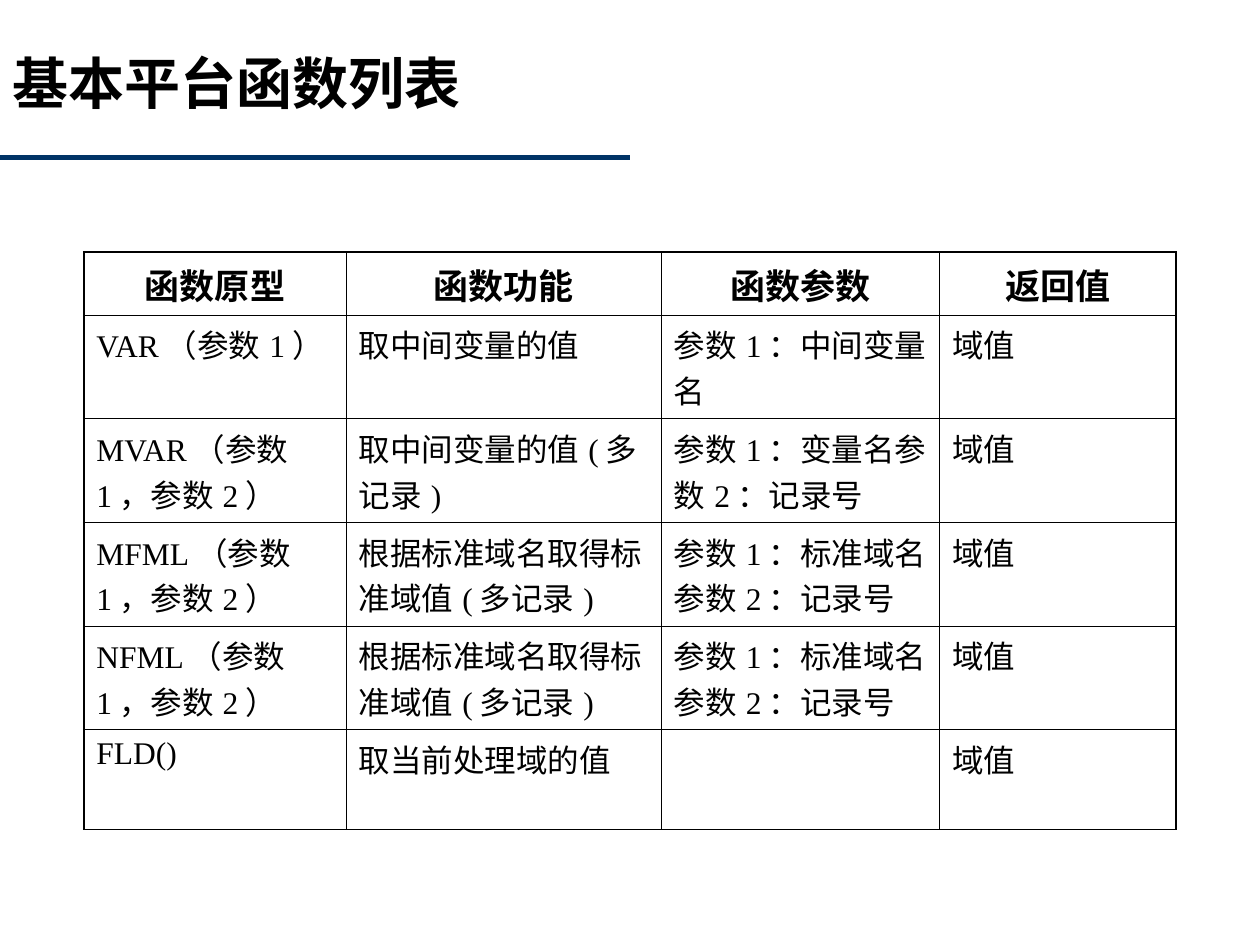
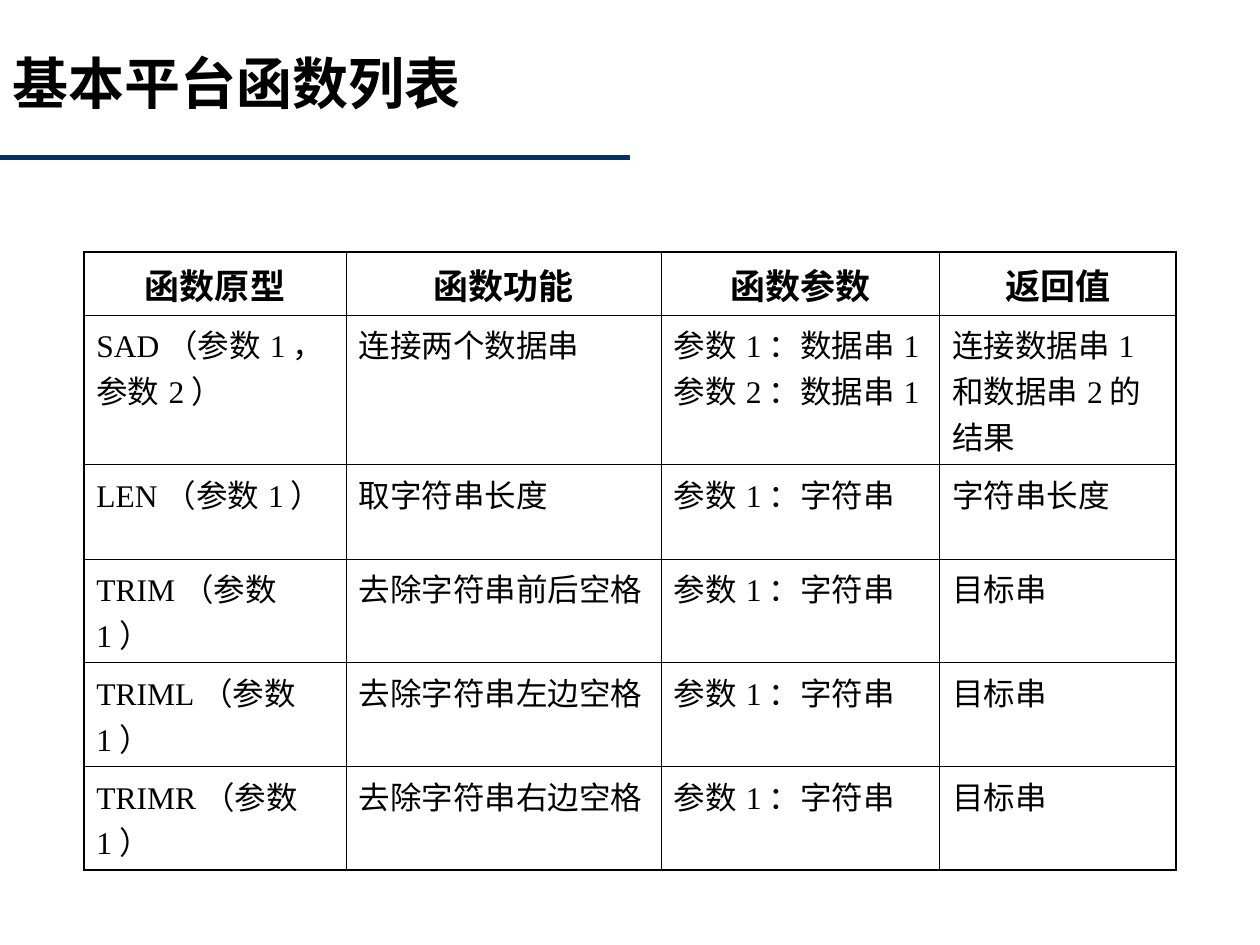
import lxml.etree
import pptx
import pptx.dml.color
import pptx.enum.shapes
import pptx.enum.text
import pptx.oxml.ns
import pptx.util
from pptx.util import Cm, Pt

BLACK = pptx.dml.color.RGBColor(0x00, 0x00, 0x00)
NAVY = pptx.dml.color.RGBColor(0x00, 0x33, 0x66)

CJK_FONT = "Noto Sans CJK SC"
TABLE_FONT = "Times New Roman"

TITLE = "基本平台函数列表"
HEADERS = ("函数原型", "函数功能", "函数参数", "返回值")
COLUMN_WIDTHS = (5.29, 6.35, 5.61, 4.77)
HEADER_HEIGHT = 1.27
TWO_LINE_HEIGHT = 2.09
OUTER_BORDER = Pt(1.08)
INNER_BORDER = Pt(0.45)

VARIABLE_FUNCTIONS = (
    ("VAR（参数1）", "取中间变量的值", "参数1：中间变量名", "域值"),
    ("MVAR（参数1，参数2）", "取中间变量的值(多记录)", "参数1：变量名参数2：记录号", "域值"),
    ("MFML（参数1，参数2）", "根据标准域名取得标准域值(多记录)", "参数1：标准域名参数2：记录号", "域值"),
    ("NFML（参数1，参数2）", "根据标准域名取得标准域值(多记录)", "参数1：标准域名参数2：记录号", "域值"),
    ("FLD()", "取当前处理域的值", "", "域值"),
)
STRING_FUNCTIONS = (
    ("SAD（参数1，参数2）", "连接两个数据串", "参数1：数据串1参数2：数据串1", "连接数据串1和数据串2的结果"),
    ("LEN（参数1）", "取字符串长度", "参数1：字符串", "字符串长度"),
    ("TRIM（参数1）", "去除字符串前后空格", "参数1：字符串", "目标串"),
    ("TRIML（参数1）", "去除字符串左边空格", "参数1：字符串", "目标串"),
    ("TRIMR（参数1）", "去除字符串右边空格", "参数1：字符串", "目标串"),
)


def add_element(parent, tag, **attributes):
    return lxml.etree.SubElement(parent, pptx.oxml.ns.qn(tag), **attributes)


def write_text(text_frame, text, *, font=TABLE_FONT, size=18, bold=False, centered=False):
    text_frame.word_wrap = True
    paragraph = text_frame.paragraphs[0]
    alignment = pptx.enum.text.PP_ALIGN
    paragraph.alignment = alignment.CENTER if centered else alignment.LEFT
    run = paragraph.add_run()
    run.text = text
    run.font.name = font
    run.font.size = Pt(size)
    run.font.bold = bold
    run.font.color.rgb = BLACK
    add_element(run.font._element, "a:ea", typeface=CJK_FONT)


def add_title(slide, text):
    box = slide.shapes.add_textbox(Cm(0), Cm(0.85), Cm(19.25), Cm(3.18))
    write_text(box.text_frame, text, font=CJK_FONT, size=32, bold=True)


def add_title_rule(slide):
    rule = slide.shapes.add_connector(
        pptx.enum.shapes.MSO_CONNECTOR.STRAIGHT, Cm(0), Cm(3.18), Cm(12.7), Cm(3.18))
    rule.line.color.rgb = NAVY
    rule.line.width = Pt(3)
    add_element(rule._element.spPr, "a:effectLst")


def set_borders(cell, **widths):
    """Draw solid black borders; the keywords are L, R, T and B, in that order."""
    properties = cell._tc.get_or_add_tcPr()
    for side, width in widths.items():
        border = add_element(properties, f"a:ln{side}", w=str(width))
        fill = add_element(border, "a:solidFill")
        add_element(fill, "a:srgbClr", val=str(BLACK))


def add_function_table(slide, functions, row_heights):
    rows = (HEADERS, *functions)
    last_row, last_column = len(rows) - 1, len(HEADERS) - 1
    table = slide.shapes.add_table(
        len(rows), len(HEADERS), Cm(1.69), Cm(5.08),
        Cm(sum(COLUMN_WIDTHS)), Cm(sum(row_heights))).table
    table.first_row = False
    table.horz_banding = False
    for column, width in zip(table.columns, COLUMN_WIDTHS):
        column.width = Cm(width)
    for row, height in zip(table.rows, row_heights):
        row.height = Cm(height)

    def border_width(is_outer):
        return OUTER_BORDER if is_outer else INNER_BORDER

    for row_index, texts in enumerate(rows):
        is_header = row_index == 0
        for column_index, text in enumerate(texts):
            cell = table.cell(row_index, column_index)
            set_borders(
                cell,
                L=border_width(column_index == 0),
                R=border_width(column_index == last_column),
                T=border_width(is_header),
                B=border_width(row_index == last_row))
            cell.fill.background()
            if text:
                write_text(cell.text_frame, text, size=20 if is_header else 18,
                           bold=is_header, centered=is_header)


def add_function_slide(presentation, functions, body_heights):
    slide = presentation.slides.add_slide(presentation.slide_layouts[6])
    add_title_rule(slide)
    add_title(slide, TITLE)
    add_function_table(slide, functions, [HEADER_HEIGHT, *body_heights])


def main():
    presentation = pptx.Presentation()
    presentation.slide_width = Cm(25.4)
    presentation.slide_height = Cm(19.05)
    add_function_slide(presentation, VARIABLE_FUNCTIONS, [TWO_LINE_HEIGHT] * 4 + [2.01])
    add_function_slide(presentation, STRING_FUNCTIONS, [3.02, 1.9] + [TWO_LINE_HEIGHT] * 3)
    presentation.save("out.pptx")


if __name__ == "__main__":
    main()
